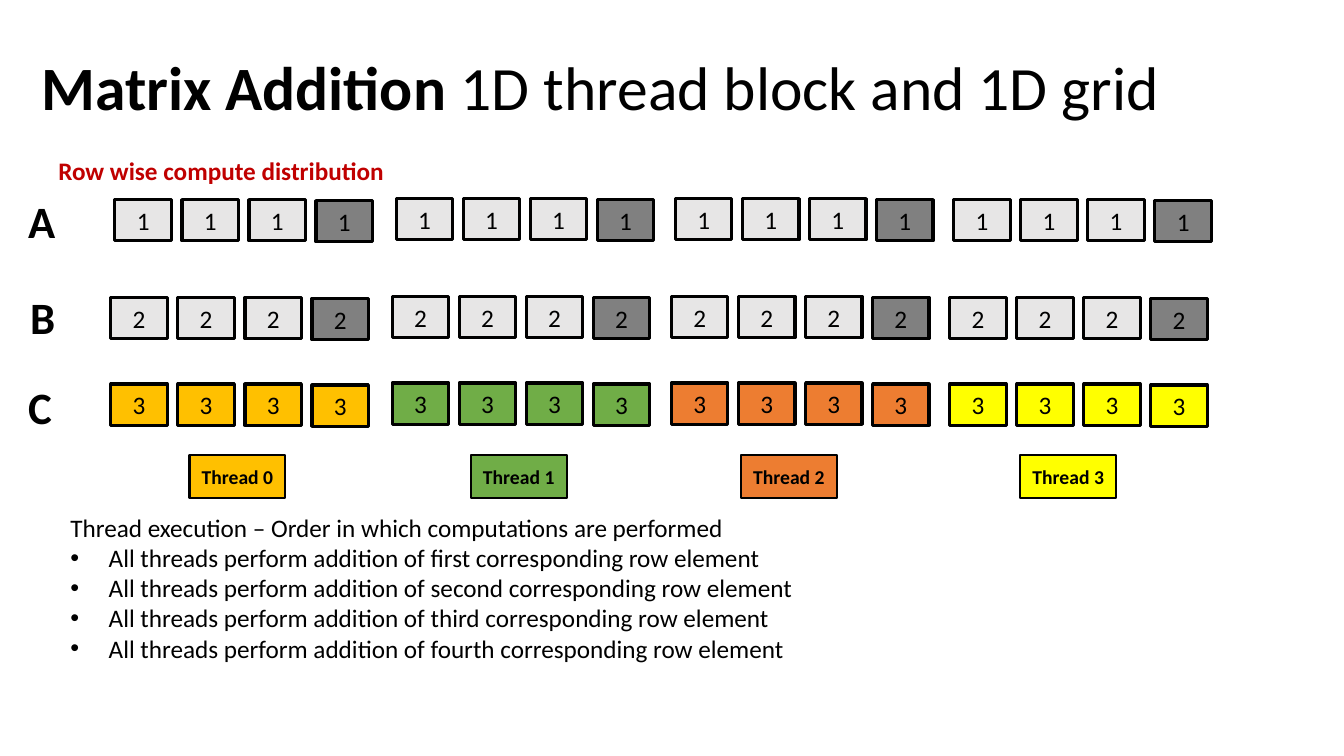
from lxml import etree
from pptx import Presentation
from pptx import util as u
from pptx.dml import color
from pptx.enum import shapes, text
from pptx.oxml import ns

deck = Presentation()
deck.slide_width, deck.slide_height = u.Inches(13.33), u.Inches(7.5)
slide = deck.slides.add_slide(deck.slide_layouts[5])


def paint(fill, tone):
    fill.solid()
    fill.fore_color.rgb = color.RGBColor.from_string(tone)


def write(para, words, size=18, bold=False, tone="000000", align=text.PP_ALIGN.LEFT):
    """Add one formatted run to a paragraph."""
    para.alignment = align
    run = para.add_run()
    run.text = words
    run.font.name, run.font.size, run.font.bold = "Calibri", u.Pt(size), bold
    paint(run.font.fill, tone)


# Title
title = slide.shapes.title
title.left, title.top = u.Inches(0.31), u.Inches(0.17)
title.width, title.height = u.Inches(11.5), u.Inches(1.45)
title.text_frame.auto_size = text.MSO_AUTO_SIZE.NONE
title.text_frame.vertical_anchor = text.MSO_ANCHOR.MIDDLE
head = title.text_frame.paragraphs[0]
head.line_spacing = 0.9
write(head, "Matrix Addition ", size=44, bold=True)
write(head, "1D thread block and 1D grid", size=44)

# Grid: four threads, each owning four cells in every matrix
LIGHT, DARK = "E7E6E6", "808080"
STEP, WIDE, HIGH = 0.665, 0.56, 0.41
threads = [  # offset of the cells, drop, left of the label, colour
    (0, 0.01, 1.88, "FFC000"),
    (2.79, 0, 4.67, "70AD47"),
    (5.56, 0, 7.35, "ED7D31"),
    (8.32, 0.01, 10.12, "FFFF00"),
]
rows = [("1", 1.14, 1.97), ("2", 1.1, 2.94), ("3", 1.1, 3.8)]

boxes = []
for value, left, top in rows:
    for shift, drop, _, tone in threads:
        for col in range(4):
            last = col == 3
            fill = tone if value == "3" else DARK if last else LIGHT
            y = top + drop + 0.01 * last
            boxes.append((value, left + shift + col * STEP, y, WIDE, HIGH, fill, 2.25, 18, False))
for num, (_, _, left, tone) in enumerate(threads):
    boxes.append((f"Thread {num}", left, 4.51, 0.95, 0.43, tone, 1.5, 14, True))

for words, x, y, w, h, fill, line, size, bold in boxes:
    box = slide.shapes.add_shape(shapes.MSO_SHAPE.RECTANGLE, *map(u.Inches, (x, y, w, h)))
    box.shadow.inherit = False
    paint(box.fill, fill)
    paint(box.line.fill, "000000")
    box.line.width = u.Pt(line)
    box.text_frame.vertical_anchor = text.MSO_ANCHOR.MIDDLE
    write(box.text_frame.paragraphs[0], words, size=size, bold=bold, align=text.PP_ALIGN.CENTER)

# Matrix names and subtitle
labels = [
    ("A", 0.18, 1.87, 0.45, 0.64, 32, "000000"),
    ("B", 0.2, 2.83, 0.45, 0.64, 32, "000000"),
    ("C", 0.18, 3.72, 0.45, 0.64, 32, "000000"),
    ("Row wise compute distribution", 0.48, 1.49, 3.46, 0.4, 18, "C00000"),
]
for words, x, y, w, h, size, tone in labels:
    label = slide.shapes.add_textbox(*map(u.Inches, (x, y, w, h)))
    label.text_frame.word_wrap = len(words) == 1
    write(label.text_frame.paragraphs[0], words, size=size, bold=True, tone=tone)

# Order of execution
notes = slide.shapes.add_textbox(*map(u.Inches, (0.6, 5.03, 10.74, 1.92))).text_frame
notes.word_wrap = True
write(notes.paragraphs[0], "Thread execution – Order in which computations are performed")
for rank in ("first", "second", "third", "fourth"):
    item = notes.add_paragraph()
    write(item, f"All threads perform addition of {rank} corresponding row element")
    props = item._p.get_or_add_pPr()
    props.set("marL", str(u.Inches(0.38)))
    props.set("indent", str(-u.Inches(0.38)))
    etree.SubElement(props, ns.qn("a:buFont")).set("typeface", "Arial")
    etree.SubElement(props, ns.qn("a:buChar")).set("char", "•")

deck.save("out.pptx")
